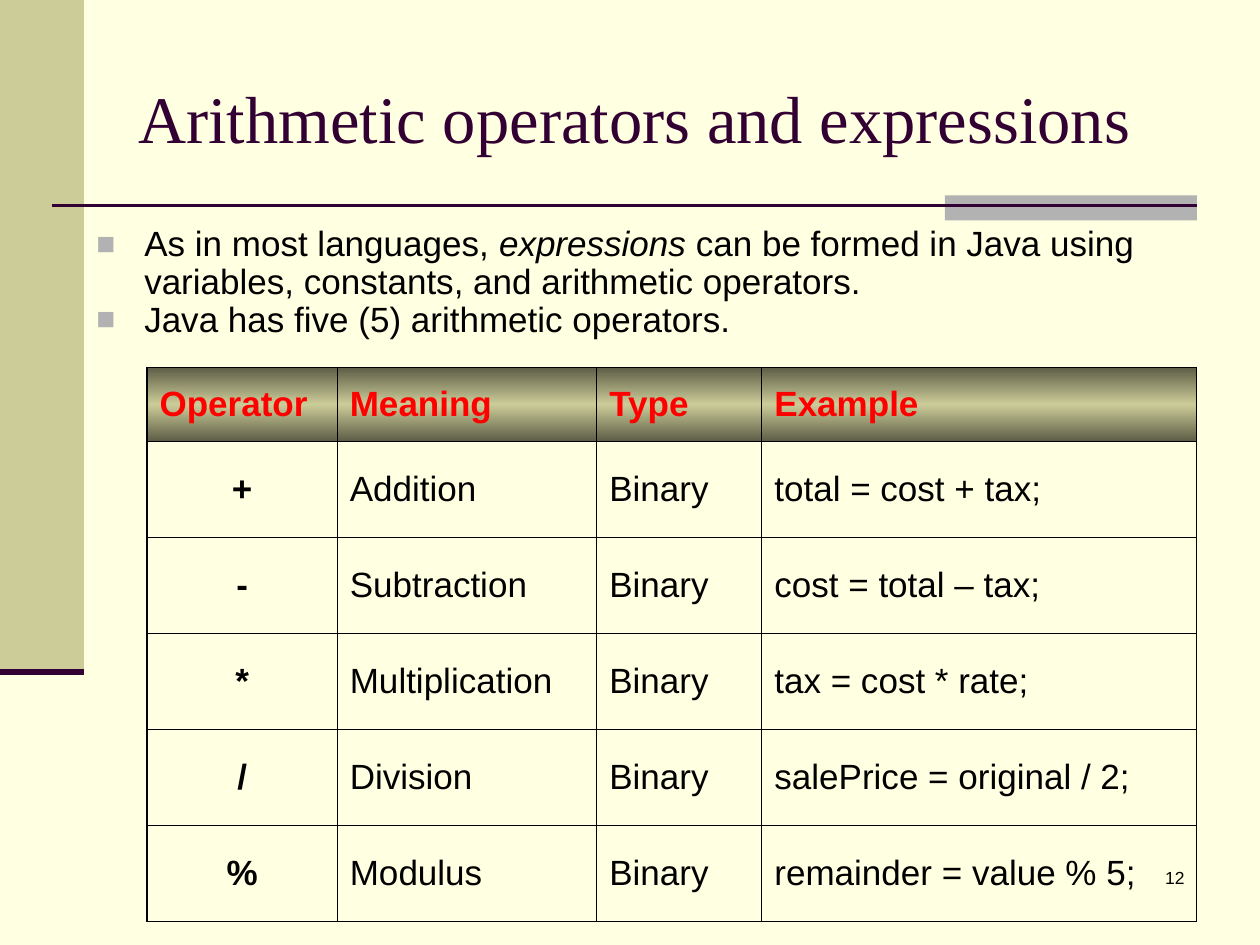
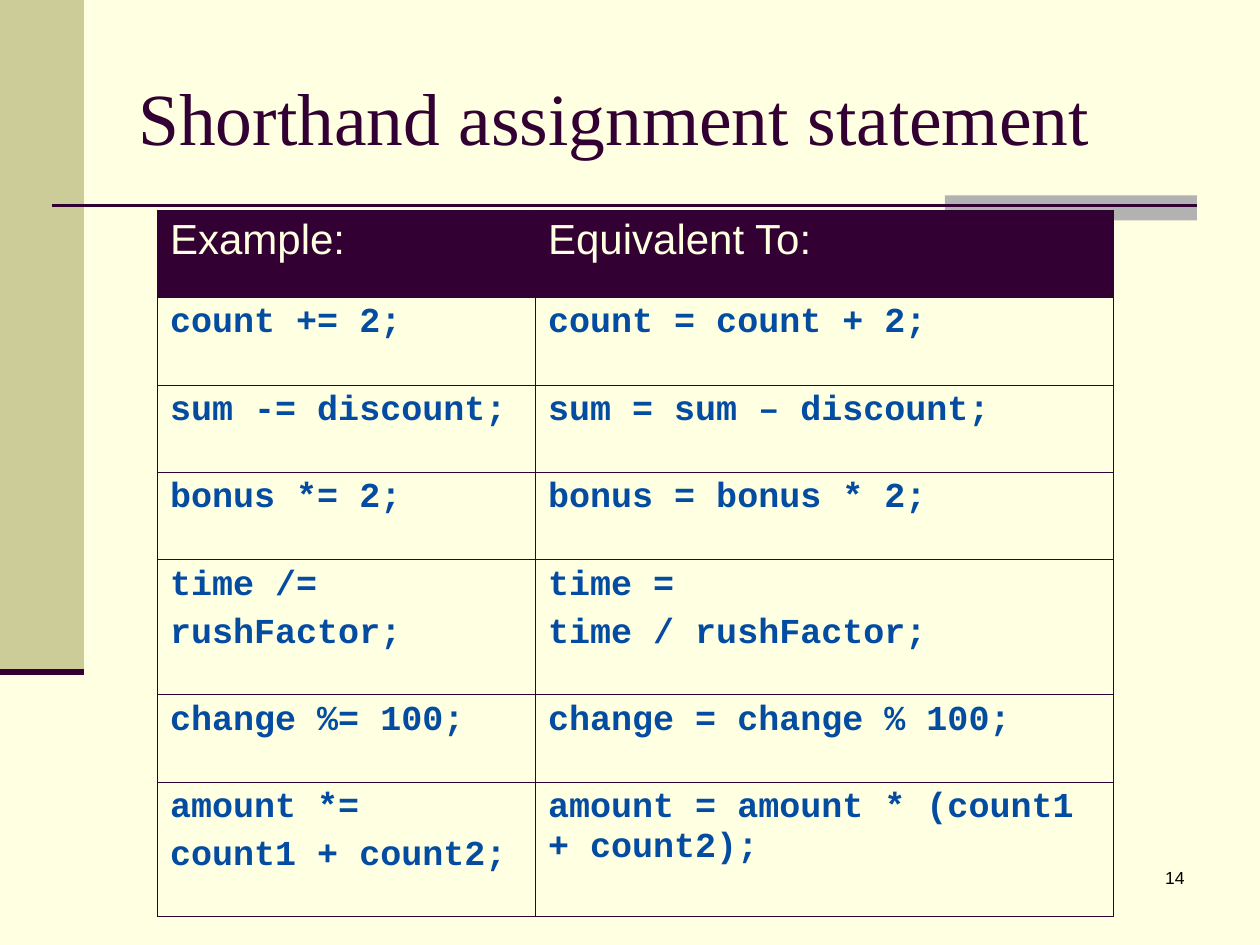
import lxml.etree
import pptx
import pptx.dml.color
import pptx.enum.shapes
import pptx.enum.text
import pptx.oxml.ns
import pptx.util

RGB = pptx.dml.color.RGBColor
CREAM = RGB(0xFF, 0xFF, 0xE1)
OLIVE = RGB(0xCC, 0xCC, 0x99)
MOSS = RGB(0x5E, 0x5E, 0x47)
GREY = RGB(0xB2, 0xB2, 0xB2)
PLUM = RGB(0x33, 0x00, 0x33)
BLACK = RGB(0x00, 0x00, 0x00)
RED = RGB(0xFF, 0x00, 0x00)
BLUE = RGB(0x03, 0x4C, 0xA1)

ALIGN = pptx.enum.text.PP_ALIGN
ANCHOR = pptx.enum.text.MSO_ANCHOR

# The slide is a grid of 120 columns by 90 rows
COLS, ROWS = 120, 90
WIDE, HIGH = pptx.util.Inches(10), pptx.util.Inches(7.5)

# Boxes are left, top, width, height in grid units
BAND = (0, 0, 8, 64)
TAB = (90, 18.6, 30 - 6, 2.4)
TITLE = (12, 3.6, 102, 15)
BODY = (8, 21, 111, 59.4)
NUMBER = (89, 82, 25, 6)
RULES = [((5, 19.6), (114, 19.6), 1.5), ((0, 64), (8, 64), 3.5)]

POINTS = [
    [("As in most languages, ", False), ("expressions", True),
     (" can be formed in Java using variables, constants, "
      "and arithmetic operators.", False)],
    [("Java has five (5) arithmetic operators.", False)],
]
MATH = [
    ("Operator", "Meaning", "Type", "Example"),
    ("+", "Addition", "Binary", "total = cost + tax;"),
    ("-", "Subtraction", "Binary", "cost = total – tax;"),
    ("*", "Multiplication", "Binary", "tax = cost * rate;"),
    ("/", "Division", "Binary", "salePrice = original / 2;"),
    ("%", "Modulus", "Binary", "remainder = value % 5;"),
]
SHORT = [
    ("Example:", "Equivalent To:"),
    ("count += 2;", "count = count + 2;"),
    ("sum -= discount;", "sum = sum – discount;"),
    ("bonus *= 2;", "bonus = bonus * 2;"),
    ("time /=\nrushFactor;", "time =\ntime / rushFactor;"),
    ("change %= 100;", "change = change % 100;"),
    ("amount *=\ncount1 + count2;", "amount = amount * (count1 + count2);"),
]


def place(x, y):
    return round(x * WIDE / COLS), round(y * HIGH / ROWS)


def span(box):
    return place(*box[:2]) + place(*box[2:])


def node(parent, tag, **attrs):
    return lxml.etree.SubElement(parent, pptx.oxml.ns.qn(tag), attrs)


def style(frame, size, color, font="Arial", bold=False, align=ALIGN.LEFT):
    for par in frame.paragraphs:
        par.alignment = align
        for run in par.runs:
            run.font.size = pptx.util.Pt(size)
            run.font.name = font
            run.font.bold = bold
            run.font.color.rgb = color


def add_text(slide, box, text=""):
    frame = slide.shapes.add_textbox(*span(box)).text_frame
    frame.word_wrap = True
    frame.text = text
    return frame


def add_block(slide, box, color):
    block = slide.shapes.add_shape(
        pptx.enum.shapes.MSO_SHAPE.RECTANGLE, *span(box))
    block.shadow.inherit = False
    block.fill.solid()
    block.fill.fore_color.rgb = color
    block.line.fill.background()


def add_rule(slide, start, end, width):
    rule = slide.shapes.add_connector(
        pptx.enum.shapes.MSO_CONNECTOR.STRAIGHT, *place(*start), *place(*end))
    rule.line.color.rgb = PLUM
    rule.line.width = pptx.util.Pt(width)
    node(rule._element.spPr, "a:effectLst")


def add_base(deck, title, size, number):
    """Start a slide with the shared background, bands, title and number."""
    slide = deck.slides.add_slide(deck.slide_layouts[6])
    slide.background.fill.solid()
    slide.background.fill.fore_color.rgb = CREAM
    add_block(slide, BAND, OLIVE)
    add_block(slide, TAB, GREY)
    for rule in RULES:
        add_rule(slide, *rule)
    style(add_text(slide, NUMBER, number), 10, BLACK, align=ALIGN.RIGHT)
    frame = add_text(slide, TITLE, title)
    frame.vertical_anchor = ANCHOR.MIDDLE
    style(frame, size, PLUM, "Times New Roman")
    return slide


def add_points(slide, box, points):
    frame = add_text(slide, box)
    for i, parts in enumerate(points):
        par = frame.add_paragraph() if i else frame.paragraphs[0]
        par.line_spacing = 0.9
        props = par._p.get_or_add_pPr()
        indent = pptx.util.Inches(0.38)
        props.set("marL", str(indent))
        props.set("indent", str(-indent))
        node(node(props, "a:buClr"), "a:srgbClr", val=str(GREY))
        node(props, "a:buSzPct", val="90000")
        node(props, "a:buFont", typeface="Arial")
        node(props, "a:buChar", char="■")
        for text, slant in parts:
            run = par.add_run()
            run.text = text
            run.font.italic = slant
    style(frame, 20, BLACK)


def add_edges(cell, color, widths):
    """Give borders on the left, right, top and bottom, in that order."""
    props = cell._tc.get_or_add_tcPr()
    for i, (side, width) in enumerate(zip("LRTB", widths)):
        edge = node(props, "a:ln" + side, w=str(pptx.util.Pt(width)))
        node(node(edge, "a:solidFill"), "a:srgbClr", val=str(color))
        props.insert(i, edge)


def add_glow(cell):
    """Shade a cell from dark to light to dark, downwards."""
    grad = node(cell._tc.get_or_add_tcPr(), "a:gradFill", rotWithShape="1")
    stops = node(grad, "a:gsLst")
    for share, color in ((0, MOSS), (50, OLIVE), (100, MOSS)):
        stop = node(stops, "a:gs", pos=str(share * 1000))
        node(stop, "a:srgbClr", val=str(color))
    node(grad, "a:lin", ang="5400000", scaled="1")


def add_grid(slide, box, data, cols, rows):
    """Add a plain table; yield each cell with its row and column."""
    grid = slide.shapes.add_table(len(rows), len(cols), *span(box)).table
    grid.first_row = grid.horz_banding = False
    for col, width in zip(grid.columns, cols):
        col.width = place(width, 0)[0]
    for row, height in zip(grid.rows, rows):
        row.height = place(0, height)[1]
    for r, line in enumerate(data):
        for c, text in enumerate(line):
            cell = grid.cell(r, c)
            cell.text_frame.text = text
            for par in cell.text_frame.paragraphs[1:]:
                par.space_before = pptx.util.Pt(5)
            yield r, c, cell


def add_math(slide, box):
    cols = [18.12, 24.72, 15.72, 41.4]
    count = len(MATH) - 1
    rows = [7] + [(box[3] - 7) / count] * count
    for r, c, cell in add_grid(slide, box, MATH, cols, rows):
        head, sign = r == 0, c == 0
        cell.vertical_anchor = ANCHOR.MIDDLE
        style(cell.text_frame, 20, RED if head else BLACK, bold=head or sign,
              align=ALIGN.CENTER if sign and not head else ALIGN.LEFT)
        if head:
            add_glow(cell)
        else:
            cell.fill.background()
        outer = (sign, c == len(cols) - 1, head, r == count)
        add_edges(cell, BLACK, [1.08 if out else 0.45 for out in outer])


def add_short(slide, box):
    cols = [36, box[2] - 36]
    rows = [12.84 if "\n" in line[0] else 8.33 for line in SHORT]
    for r, c, cell in add_grid(slide, box, SHORT, cols, rows):
        cell.fill.solid()
        cell.fill.fore_color.rgb = CREAM if r else PLUM
        if r:
            style(cell.text_frame, 20, BLUE, "Courier New", bold=True)
        else:
            style(cell.text_frame, 24, CREAM)
        add_edges(cell, PLUM, [0.45] * 4)


def main():
    deck = pptx.Presentation()
    deck.slide_width, deck.slide_height = WIDE, HIGH

    # Operators
    slide = add_base(deck, "Arithmetic operators and expressions", 38, "12")
    add_points(slide, BODY, POINTS)
    add_math(slide, (14, 35, 100, 52.8))

    # Shorthand
    slide = add_base(deck, "Shorthand assignment statement", 42, "14")
    add_short(slide, (15, 20, 91, 67.3))

    deck.save("out.pptx")


if __name__ == "__main__":
    main()
